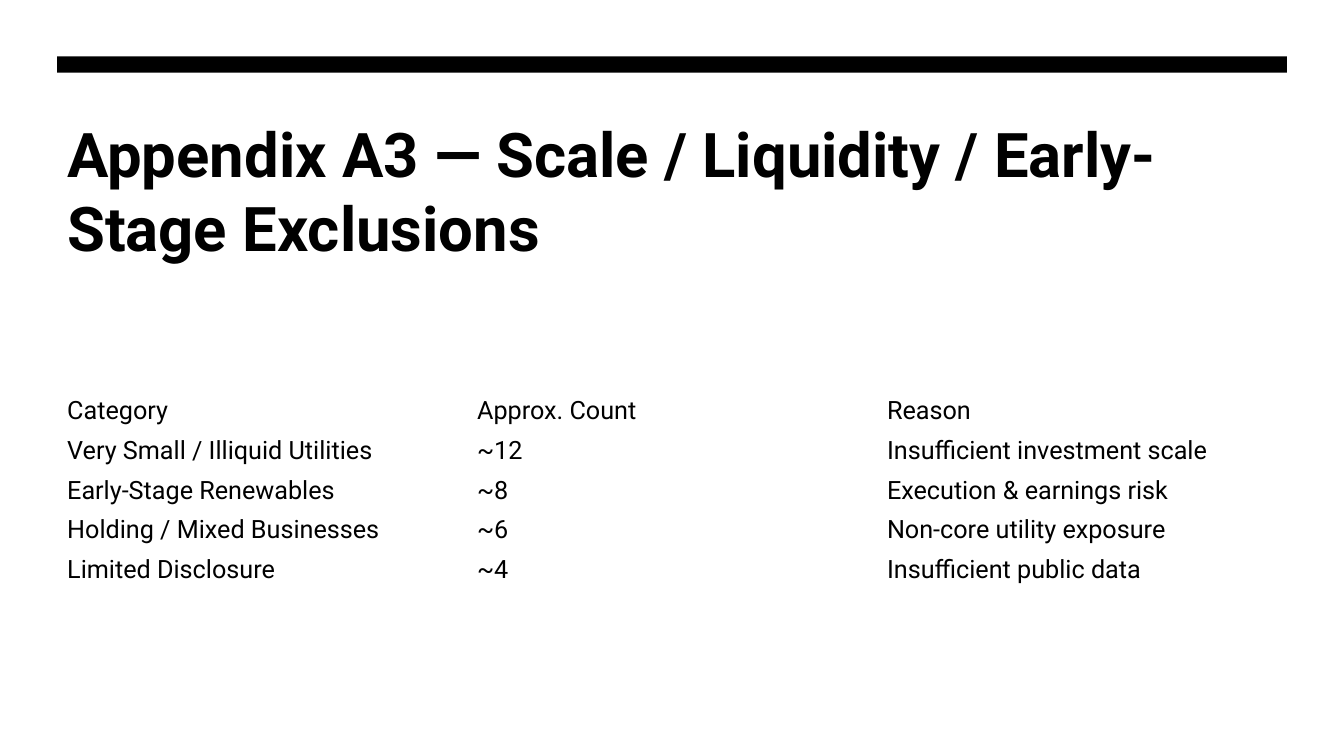
from dataclasses import dataclass

from pptx import Presentation
from pptx.dml.color import RGBColor
from pptx.enum.shapes import MSO_SHAPE as Shape
from pptx.enum.text import MSO_ANCHOR as Anchor, PP_ALIGN as Align
from pptx.util import Cm, Pt


@dataclass(frozen=True)
class Theme:
    font: str = "Roboto"
    ink: RGBColor = RGBColor(0, 0, 0)
    paper: RGBColor = RGBColor(255, 255, 255)
    head: int = 44
    body: int = 18


def write(frame, text, theme, size, bold=False, anchor=Anchor.MIDDLE):
    frame.word_wrap = True
    frame.vertical_anchor = anchor
    par = frame.paragraphs[0]
    par.alignment = Align.LEFT
    run = par.add_run()
    run.text = text
    run.font.name = theme.font
    run.font.size = Pt(size)
    run.font.bold = bold
    run.font.color.rgb = theme.ink


class Page:
    def __init__(self, deck, theme):
        self.theme = theme
        self.slide = deck.slides.add_slide(deck.slide_layouts[5])
        fill = self.slide.background.fill
        fill.solid()
        fill.fore_color.rgb = theme.paper

    def bar(self, left, top, width, height):
        bar = self.slide.shapes.add_shape(
            Shape.RECTANGLE, Cm(left), Cm(top), Cm(width), Cm(height))
        bar.shadow.inherit = False
        bar.fill.solid()
        bar.fill.fore_color.rgb = self.theme.ink
        bar.line.fill.background()

    def title(self, text, left, top, width, height):
        title = self.slide.shapes.title
        title.left, title.top = Cm(left), Cm(top)
        title.width, title.height = Cm(width), Cm(height)
        write(title.text_frame, text, self.theme, self.theme.head,
              bold=True, anchor=Anchor.BOTTOM)

    def table(self, rows, left, top, width, step):
        table = self.slide.shapes.add_table(
            len(rows), len(rows[0]), Cm(left), Cm(top),
            Cm(width), Cm(step * len(rows))).table
        table.first_row = table.horz_banding = False
        for r, row in enumerate(rows):
            for c, text in enumerate(row):
                cell = table.cell(r, c)
                cell.fill.background()
                cell.vertical_anchor = Anchor.MIDDLE
                write(cell.text_frame, text, self.theme, self.theme.body)


ROWS = [
    ("Category", "Approx. Count", "Reason"),
    ("Very Small / Illiquid Utilities", "~12", "Insufficient investment scale"),
    ("Early-Stage Renewables", "~8", "Execution & earnings risk"),
    ("Holding / Mixed Businesses", "~6", "Non-core utility exposure"),
    ("Limited Disclosure", "~4", "Insufficient public data"),
]


def main():
    deck = Presentation()
    deck.slide_width, deck.slide_height = Cm(33.87), Cm(19.05)
    left, width = 1.44, 30.99
    page = Page(deck, Theme())
    page.bar(left, 1.42, width, 0.41)
    page.title("Appendix A3 — Scale / Liquidity / Early-Stage Exclusions",
               left, 2.72, width, 4.06)
    page.table(ROWS, left, 9.86, width, 1)
    deck.save("out.pptx")


if __name__ == "__main__":
    main()
